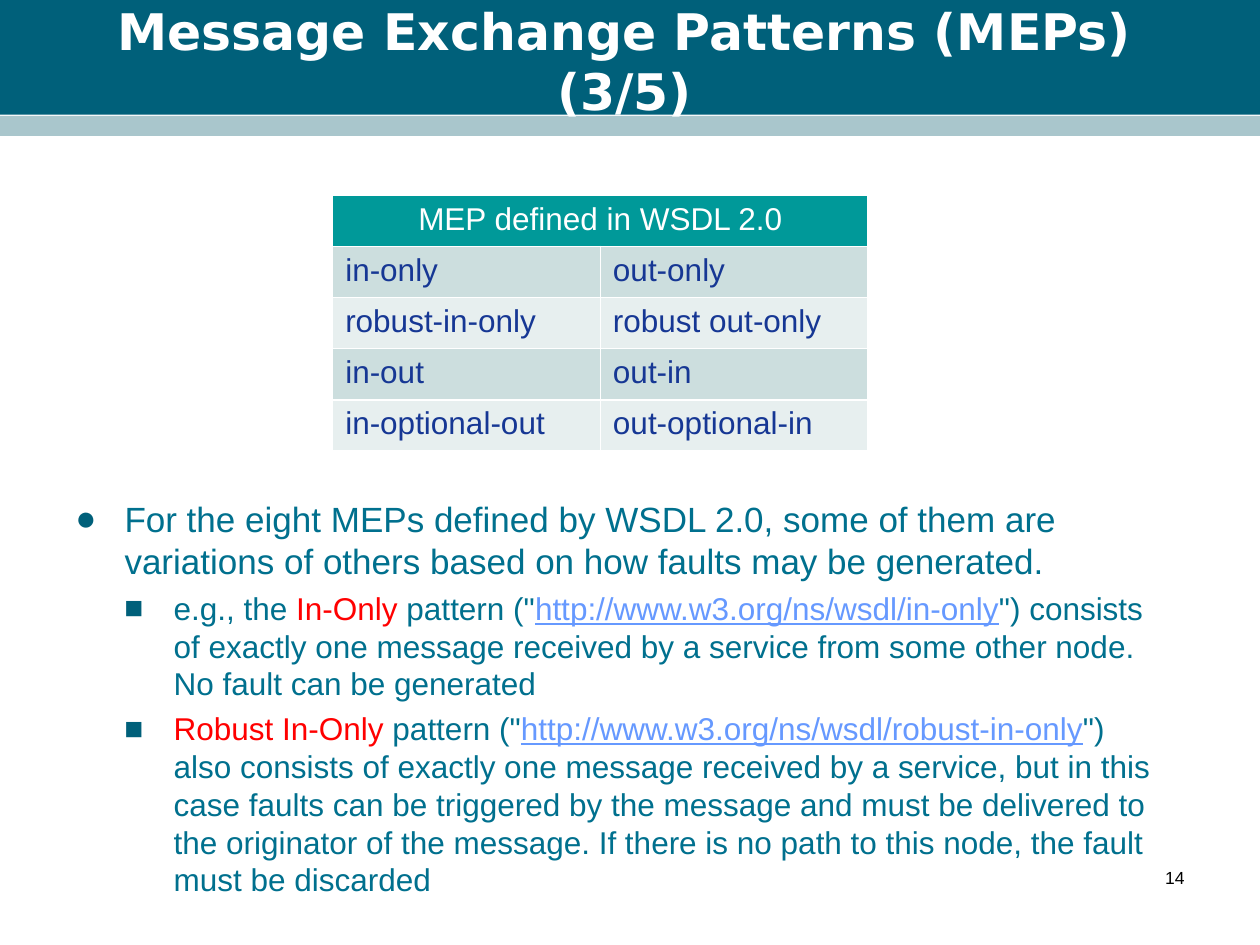
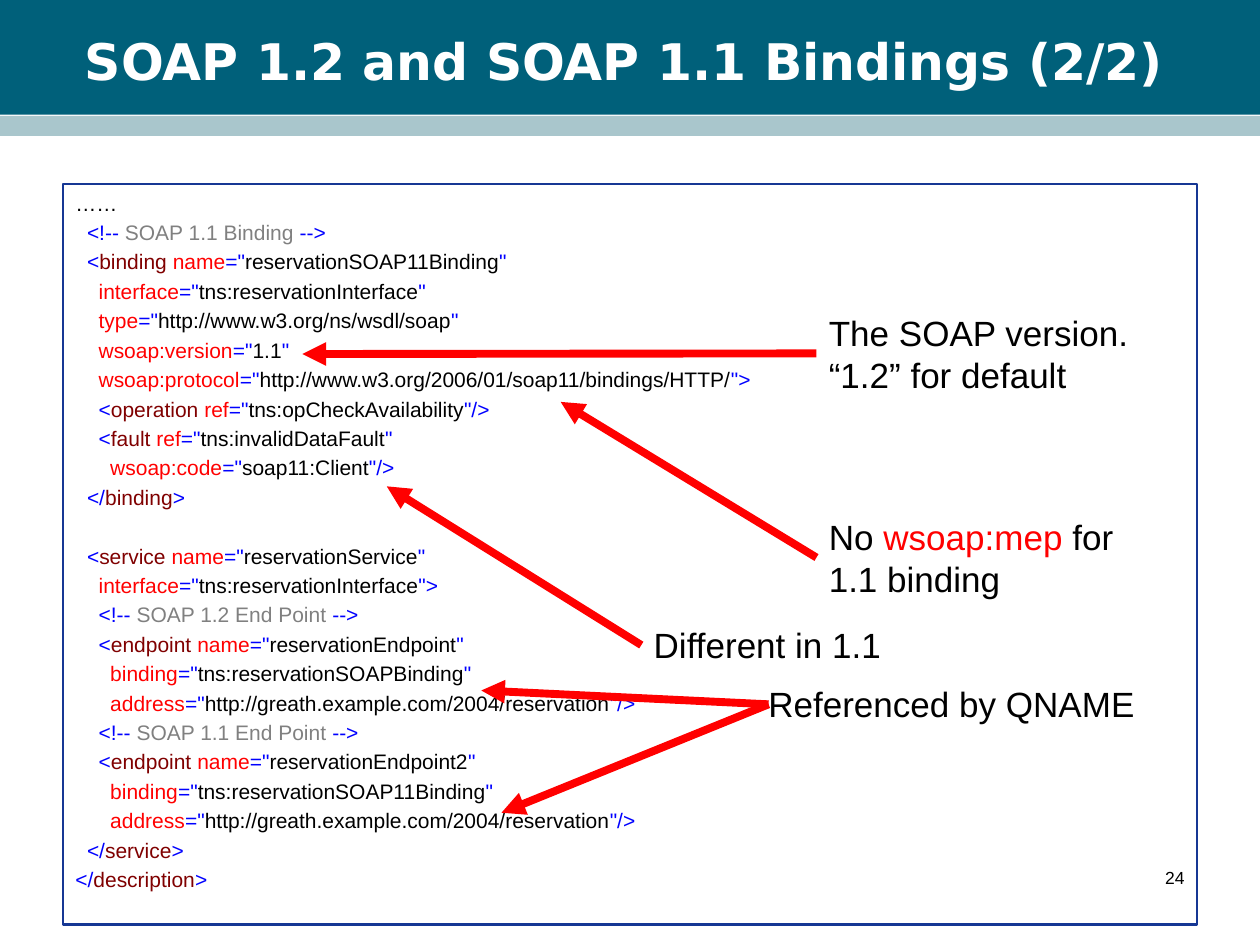
from itertools import groupby
from lxml.etree import SubElement
from pptx import Presentation
from pptx.dml.color import RGBColor
from pptx.enum.shapes import MSO_CONNECTOR, MSO_SHAPE
from pptx.enum.text import MSO_ANCHOR, PP_ALIGN
from pptx.oxml.ns import qn
from pptx.util import Inches, Pt

HUES = {
    "deep": "00607A", "pale": "A9C6CC", "teal": "00708E", "head": "009999",
    "odd": "CCDEDE", "even": "E7EFEF", "navy": "163794", "link": "6699FF",
    "white": "FFFFFF", "black": "000000", "red": "FF0000", "blue": "0000FF",
    "gray": "808080", "maroon": "800000",
}
FORMS = {
    "title": {"name": "DejaVu Sans", "size": Pt(28.8), "bold": True},
    "main": {"name": "Arial", "size": Pt(20)},
    "sub": {"name": "Arial", "size": Pt(18)},
    "code": {"name": "Arial", "size": Pt(12)},
    "page": {"name": "Arial", "size": Pt(10)},
}
COLS, ROWS = 40, 30
WIDE, HIGH = Inches(10), Inches(7.5)

MEPS = [
    ("in-only", "out-only"),
    ("robust-in-only", "robust out-only"),
    ("in-out", "out-in"),
    ("in-optional-out", "out-optional-in"),
]
POINTS = [
    ("●", 0, "main", [
        ("For the eight MEPs defined by WSDL 2.0, some of them are variations "
         "of others based on how faults may be generated.", "teal")]),
    ("■", 1, "sub", [
        ("e.g., the ", "teal"), ("In-Only", "red"), (" pattern (\"", "teal"),
        ("http://www.w3.org/ns/wsdl/in-only", "link"),
        ("\") consists of exactly one message received by a service from some "
         "other node. No fault can be generated", "teal")]),
    ("■", 1, "sub", [
        ("Robust In-Only ", "red"), ("pattern (\"", "teal"),
        ("http://www.w3.org/ns/wsdl/robust-in-only", "link"),
        ("\") also consists of exactly one message received by a service, but "
         "in this case faults can be triggered by the message and must be "
         "delivered to the originator of the message. If there is no path to "
         "this node, the fault must be discarded", "teal")]),
]
BIND = """……
  <!-- SOAP 1.1 Binding -->
  <binding name="reservationSOAP11Binding"
    interface="tns:reservationInterface"
    type="http://www.w3.org/ns/wsdl/soap"
    wsoap:version="1.1"
    wsoap:protocol="http://www.w3.org/2006/01/soap11/bindings/HTTP/">
    <operation ref="tns:opCheckAvailability"/>
    <fault ref="tns:invalidDataFault"
      wsoap:code="soap11:Client"/>
  </binding>"""
SERVE = """  <service name="reservationService"
    interface="tns:reservationInterface">
    <!-- SOAP 1.2 End Point -->
    <endpoint name="reservationEndpoint"
      binding="tns:reservationSOAPBinding"
      address="http://greath.example.com/2004/reservation"/>
    <!-- SOAP 1.1 End Point -->
    <endpoint name="reservationEndpoint2"
      binding="tns:reservationSOAP11Binding"
      address="http://greath.example.com/2004/reservation"/>
  </service>
</description>"""
NOTES = [
    ((25.92, 9.68, 11.08, 3.08), (9.6, 11.24),
     [("The SOAP version. “1.2” for default", "black")]),
    ((25.92, 16.16, 11.08, 3.08), (17.8, 12.76),
     [("No ", "black"), ("wsoap:mep ", "red"), ("for 1.1 binding", "black")]),
    ((20.36, 19.6, 11.08, 1.76), (12.28, 15.44),
     [("Different in 1.1", "black")]),
]


def paint(line):
    quoted = tag = False
    for char in line:
        if "…" in line:
            hue = "black"
        elif "<!--" in line:
            hue = "blue" if char in "<!->" else "gray"
        elif char == '"':
            quoted, hue = not quoted, "blue"
        elif quoted:
            hue = "black"
        elif char in "</>=":
            tag, hue = char in "</", "blue"
        else:
            tag = tag and char != " "
            hue = "maroon" if tag else "red"
        yield char, hue


def tint(line):
    return [("".join(char for char, _ in group), hue)
            for hue, group in groupby(paint(line), key=lambda pair: pair[1])]


class Deck:
    def __init__(self):
        self.show = Presentation()
        self.show.slide_width, self.show.slide_height = WIDE, HIGH
        self.slide = None

    def hue(self, name):
        return RGBColor.from_string(HUES[name])

    def place(self, col, row):
        return round(col * WIDE / COLS), round(row * HIGH / ROWS)

    def area(self, left, top, wide, high):
        return *self.place(left, top), *self.place(wide, high)

    def page(self, title):
        self.slide = self.show.slides.add_slide(self.show.slide_layouts[6])
        self.rect((0, 0, COLS, 3.64), "deep")
        self.rect((0, 3.68, COLS, 0.64), "pale")
        box = self.text((1.32, 0.68, 37, 2.48), [(title, "white")], "title",
                        alignment=PP_ALIGN.CENTER)
        box.text_frame.vertical_anchor = MSO_ANCHOR.MIDDLE

    def number(self, value):
        self.text((28.68, 27.32, 9.32, 2), [(value, "black")], "page",
                  alignment=PP_ALIGN.RIGHT)

    def rect(self, area, fill=None, line=None):
        shape = self.slide.shapes.add_shape(MSO_SHAPE.RECTANGLE, *self.area(*area))
        shape.shadow.inherit = False
        for part, name in ((shape.fill, fill), (shape.line.fill, line)):
            if name:
                part.solid()
                part.fore_color.rgb = self.hue(name)
            else:
                part.background()
        if line:
            shape.line.width = Pt(1.5)
        return shape

    def put(self, para, runs, form, **looks):
        for key, value in looks.items():
            setattr(para, key, value)
        for words, name in runs:
            run = para.add_run()
            run.text = words
            for key, value in FORMS[form].items():
                setattr(run.font, key, value)
            run.font.color.rgb = self.hue(name)
            if name == "link":
                run.font.underline = True

    def text(self, area, runs, form, **looks):
        box = self.slide.shapes.add_textbox(*self.area(*area))
        box.text_frame.word_wrap = True
        self.put(box.text_frame.paragraphs[0], runs, form, **looks)
        return box

    def paras(self, frame, count):
        return [frame.paragraphs[0]] + [frame.add_paragraph() for _ in range(count - 1)]

    def points(self, area, items):
        frame = self.text(area, [], "main").text_frame
        frame.vertical_anchor = MSO_ANCHOR.MIDDLE
        for para, (mark, level, form, runs) in zip(self.paras(frame, len(items)), items):
            props = para._p.get_or_add_pPr()
            props.set("marL", str(Inches(0.39 * (level + 1))))
            props.set("indent", str(-Inches(0.39)))
            color = SubElement(props, qn("a:buClr"))
            SubElement(color, qn("a:srgbClr"), val=HUES["deep"])
            SubElement(props, qn("a:buFont"), typeface="Arial")
            SubElement(props, qn("a:buChar"), char=mark)
            self.put(para, runs, form, level=level, space_before=Pt(4 * level))

    def code(self, area, blocks):
        frame = self.rect(area, line="navy").text_frame
        frame.word_wrap = True
        frame.vertical_anchor = MSO_ANCHOR.TOP
        lines = [(line, 2.4 if spot else 19.2)
                 for block in blocks for spot, line in enumerate(block.splitlines())]
        for spot, para in enumerate(self.paras(frame, len(lines))):
            line, gap = lines[spot]
            self.put(para, tint(line), "code", alignment=PP_ALIGN.LEFT,
                     space_before=Pt(gap if spot else 0))

    def arrow(self, start, end, note=None):
        line = self.slide.shapes.add_connector(
            MSO_CONNECTOR.STRAIGHT, *self.place(*start), *self.place(*end))
        if note is not None:
            line.begin_connect(note, 1)
        line.line.color.rgb = self.hue("red")
        line.line.width = Pt(4.5)
        props = line._element.spPr
        SubElement(props.find(qn("a:ln")), qn("a:tailEnd"), type="triangle")
        SubElement(props, qn("a:effectLst"))

    def table(self, area, head, rows):
        grid = self.slide.shapes.add_table(len(rows) + 1, 2, *self.area(*area)).table
        grid.cell(0, 0).merge(grid.cell(0, 1))
        for row, words in enumerate([(head, ""), *rows]):
            for col, word in enumerate(words):
                cell = grid.cell(row, col)
                self.edge(cell)
                cell.fill.solid()
                cell.fill.fore_color.rgb = self.hue(
                    ("even", "odd")[row % 2] if row else "head")
                if word:
                    self.put(cell.text_frame.paragraphs[0],
                             [(word, "navy" if row else "white")], "sub",
                             alignment=PP_ALIGN.LEFT if row else PP_ALIGN.CENTER)

    def edge(self, cell):
        props = cell._tc.get_or_add_tcPr()
        for side in ("L", "R", "T", "B"):
            line = SubElement(props, qn(f"a:ln{side}"), w=str(Pt(1)))
            SubElement(SubElement(line, qn("a:solidFill")), qn("a:srgbClr"),
                       val=HUES["white"])


def main():
    deck = Deck()
    deck.page("Message Exchange Patterns (MEPs) (3/5)")
    deck.points((2, 15.08, 35.32, 14.16), POINTS)
    deck.number("14")
    deck.table((10.56, 6.2, 17, 8.12), "MEP defined in WSDL 2.0", MEPS)

    deck.page("SOAP 1.2 and SOAP 1.1 Bindings (2/2)")
    deck.number("24")
    deck.code((2, 5.84, 36, 23.52), [BIND, SERVE])
    for area, end, runs in NOTES:
        note = deck.text(area, runs, "main")
        deck.arrow((area[0], area[1] + area[3] / 2), end, note)
    deck.text((24, 21.48, 12.92, 1.76), [("Referenced by QNAME", "black")], "main")
    for end in ((15.28, 21.92), (15.92, 25.8)):
        deck.arrow((24.4, 22.36), end)
    deck.show.save("out.pptx")


if __name__ == "__main__":
    main()
